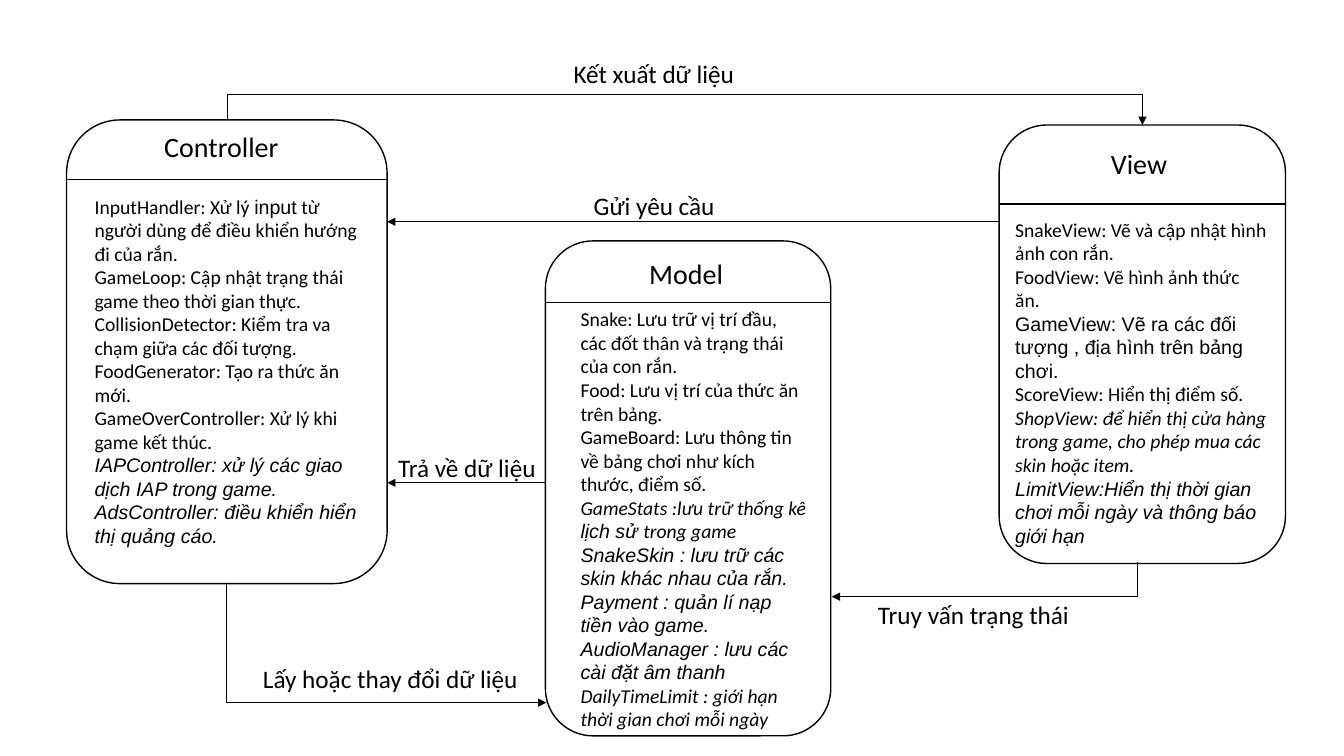
import pptx
import pptx.dml.color
import pptx.enum.shapes
import pptx.oxml
import pptx.oxml.ns
import pptx.util
from pptx.util import Inches

BLACK = pptx.dml.color.RGBColor(0, 0, 0)
WHITE = pptx.dml.color.RGBColor(255, 255, 255)
CONNECTOR = pptx.enum.shapes.MSO_CONNECTOR
qn = pptx.oxml.ns.qn


def write_run(paragraph, text, size=14, font="Calibri", italic=False):
    run = paragraph.add_run()
    run.text = text
    run.font.size = pptx.util.Pt(size)
    run.font.name = font
    run.font.italic = italic
    run.font.color.rgb = BLACK


class Diagram:
    """Holds the shared style and the current slide."""
    outline, thin = 1, 0.5

    def __init__(self, slide):
        self.slide = slide

    def card(self, left, top, width, height):
        card = self.slide.shapes.add_shape(
            pptx.enum.shapes.MSO_SHAPE.ROUNDED_RECTANGLE,
            Inches(left), Inches(top), Inches(width), Inches(height))
        card.shadow.inherit = False
        card.fill.solid()
        card.fill.fore_color.rgb = WHITE
        card.line.color.rgb = BLACK
        card.line.width = pptx.util.Pt(self.outline)

    def text(self, left, top, width, height, paragraphs, spacing=None, **style):
        """Each paragraph is a list of (text, format) runs."""
        frame = self.slide.shapes.add_textbox(
            Inches(left), Inches(top), Inches(width), Inches(height)).text_frame
        frame.word_wrap = True
        for index, runs in enumerate(paragraphs):
            paragraph = frame.add_paragraph() if index else frame.paragraphs[0]
            if spacing:
                paragraph.line_spacing = pptx.util.Pt(spacing)
            for words, changes in runs:
                write_run(paragraph, words, **{**style, **changes})

    def label(self, left, top, width, words, size=18, height=0.4):
        self.text(left, top, width, height, [[(words, {})]], size=size)

    def line(self, start, end, weight=thin, arrow=False, kind=CONNECTOR.STRAIGHT):
        link = self.slide.shapes.add_connector(
            kind, *(Inches(value) for value in (*start, *end)))
        link.line.color.rgb = BLACK
        link.line.width = pptx.util.Pt(weight)
        if arrow:
            tail = pptx.oxml.parse_xml(
                f'<a:tailEnd {pptx.oxml.ns.nsdecls("a")} type="triangle"/>')
            link.line._get_or_add_ln().append(tail)
        properties = link._element.spPr
        properties.append(properties.makeelement(qn("a:effectLst"), {}))
        return link

    def elbow(self, start, end, bends=2, bend_at=None):
        """Arrow that leaves start vertically and turns towards end."""
        link = self.line(start, end, arrow=True, kind=CONNECTOR.ELBOW)
        across, down = end[0] - start[0], end[1] - start[1]
        middle_x, middle_y = start[0] + across / 2, start[1] + down / 2
        # A quarter turn swaps the width and height of the frame
        link.width, link.height = Inches(abs(down)), Inches(abs(across))
        link.left = Inches(middle_x - abs(down) / 2)
        link.top = Inches(middle_y - abs(across) / 2)
        frame = link._element.spPr.find(qn("a:xfrm"))
        frame.attrib.pop("flipH", None)
        frame.set("rot", str((270 if across > 0 else 90) * 60000))
        if across > 0:
            frame.set("flipH", "1")
        geometry = link._element.spPr.find(qn("a:prstGeom"))
        geometry.set("prst", f"bentConnector{bends}")
        if bend_at is not None:
            ratio = round((bend_at - start[1]) / down * 100000)
            guides = geometry.get_or_add_avLst()
            guides.append(guides.makeelement(
                qn("a:gd"), {"name": "adj1", "fmla": f"val {ratio}"}))

    def component(self, frame, title, title_at, divider, weight, body_at, body):
        left, top, width, height = frame
        self.card(*frame)
        self.line((left, divider), (left + width, divider), weight)
        self.label(*title_at, title, size=20, height=0.45)
        self.text(*body_at, body, spacing=16.8)


def plain(text):
    return [(text, {})]


def italic(text, font="Calibri"):
    return [(text, {"italic": True, "font": font})]


presentation = pptx.Presentation()
presentation.slide_width, presentation.slide_height = Inches(13.33), Inches(7.5)
diagram = Diagram(presentation.slides.add_slide(presentation.slide_layouts[6]))

# Model
diagram.component(
    (5.41, 2.39, 2.83, 4.91), "Model", (6.34, 2.5, 1.42), 3, 0.5,
    (5.66, 3, 2.44, 4.3), [
        plain("Snake: Lưu trữ vị trí đầu, các đốt thân và trạng thái của con rắn."),
        plain("Food: Lưu vị trí của thức ăn trên bảng."),
        plain("GameBoard: Lưu thông tin về bảng chơi như kích thước, điểm số."),
        italic("GameStats :lưu trữ thống kê ") + italic("lịch sử ", "Arial")
        + italic("trong game"),
        italic("SnakeSkin : lưu trữ các skin khác nhau của rắn.", "Arial"),
        italic("Payment : quản lí nạp tiền vào game.", "Arial"),
        italic("AudioManager : lưu các cài đặt âm thanh", "Arial"),
        italic("DailyTimeLimit : giới hạn thời gian chơi mỗi ngày")])

# View
diagram.component(
    (9.91, 1.24, 2.84, 4.35), "View", (10.92, 1.4, 1.5), 2.02, 1.5,
    (9.97, 2.11, 2.71, 3.4), [
        plain("SnakeView: Vẽ và cập nhật hình ảnh con rắn."),
        plain("FoodView: Vẽ hình ảnh thức ăn."),
        [("GameView: Vẽ ra các đối tượng , địa hình trên bảng chơi.",
          {"font": "Arial"})],
        plain("ScoreView: Hiển thị điểm số."),
        italic("ShopView: để hiển thị cửa hàng trong game, cho phép mua các skin "
               "hoặc item."),
        italic("LimitView:Hiển thị thời gian chơi mỗi ngày và thông báo giới hạn",
               "Arial")])

# Controller
diagram.component(
    (0.66, 1.19, 3.18, 4.6), "Controller", (1.53, 1.24, 1.96), 1.78, 0.5,
    (0.84, 1.88, 2.84, 3.64), [
        plain("InputHandler: Xử lý ") + [("input", {"font": "Arial"})]
        + plain(" từ người dùng để điều khiển hướng đi của rắn."),
        plain("GameLoop: Cập nhật trạng thái game theo thời gian thực."),
        plain("CollisionDetector: Kiểm tra va chạm giữa các đối tượng."),
        plain("FoodGenerator: Tạo ra thức ăn mới."),
        plain("GameOverController: Xử lý khi game kết thúc."),
        italic("IAPController: xử lý các giao dịch IAP trong game.", "Arial"),
        italic("AdsController: điều khiển hiển thị quảng cáo.", "Arial")])

# Arrows between the components
diagram.elbow((2.25, 1.19), (11.33, 1.24), bends=3, bend_at=0.94)
diagram.elbow((11.28, 5.58), (8.25, 5.92))
diagram.elbow((2.25, 5.78), (5.42, 6.97))
diagram.line((9.91, 2.2), (3.84, 2.2), arrow=True)
diagram.line((5.42, 4.79), (3.84, 4.79), arrow=True)

# Arrow labels
for left, top, width, words in [
        (5.59, 0.53, 2.15, "Kết xuất dữ liệu"),
        (2.51, 6.53, 2.84, "Lấy hoặc thay đổi dữ liệu"),
        (5.79, 1.84, 3.44, "Gửi yêu cầu"),
        (8.61, 5.9, 2.84, "Truy vấn trạng thái"),
        (3.85, 4.44, 1.67, "Trả về dữ liệu")]:
    diagram.label(left, top, width, words)

presentation.save("out.pptx")
